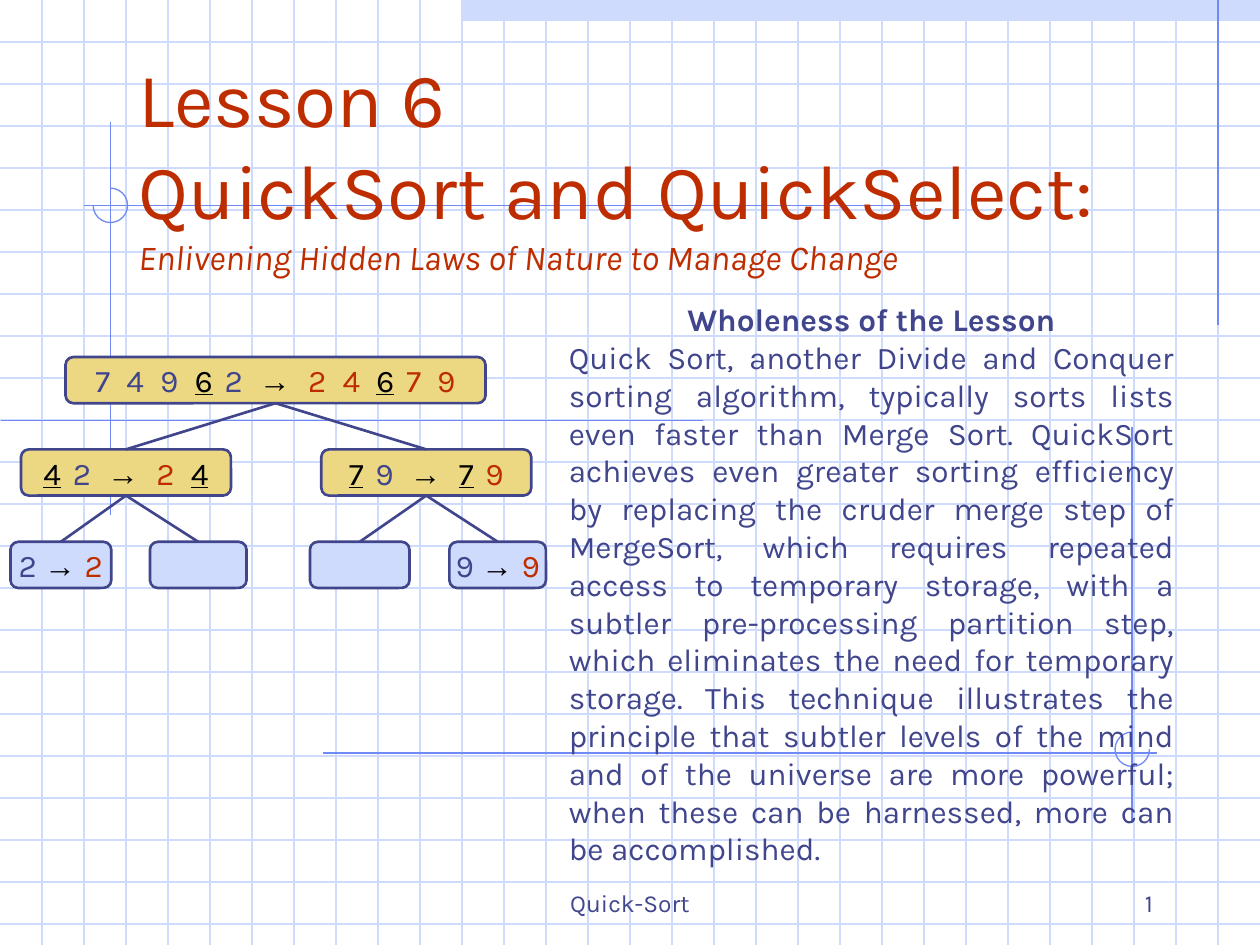
from dataclasses import dataclass
from typing import Optional

from lxml.etree import SubElement
from pptx import Presentation
from pptx.dml.color import RGBColor
from pptx.enum.shapes import MSO_CONNECTOR, MSO_SHAPE
from pptx.enum.text import MSO_ANCHOR, PP_ALIGN
from pptx.oxml.ns import qn
from pptx.util import Inches, Pt

WIDTH, HEIGHT = 10, 7.5
COLS, ROWS = 30, 22.5
CELL = Inches(WIDTH) / COLS

PALE = RGBColor(0xCF, 0xDB, 0xFD)
BLUE = RGBColor(0x6F, 0x89, 0xF7)
NAVY = RGBColor(0x40, 0x45, 0x8C)
RED = RGBColor(0xBE, 0x2D, 0x00)
SAND = RGBColor(0xEC, 0xD8, 0x82)
BLACK = RGBColor(0, 0, 0)


@dataclass(frozen=True)
class Run:
    """A piece of text with one format; spacing is in points."""
    text: str
    color: RGBColor = NAVY
    size: int = 18
    font: str = "Karla"
    bold: bool = False
    italic: bool = False
    underline: bool = False
    spacing: float = 0


@dataclass(frozen=True)
class Box:
    """A rectangle in grid cells."""
    col: float
    row: float
    cols: float
    rows: float

    def emu(self) -> list[int]:
        """Return left, top, width and height as lengths."""
        return [cells(v) for v in (self.col, self.row, self.cols, self.rows)]


@dataclass(frozen=True)
class Node:
    """A tree node: column, width, level, runs and index of its parent."""
    col: float
    cols: float
    level: int
    runs: tuple[Run, ...] = ()
    parent: Optional[int] = None


def cells(n: float) -> int:
    """Turn grid cells into a length."""
    return round(n * CELL)


def before(text: str) -> Run:
    """Numbers before partitioning."""
    return Run(text, NAVY, spacing=2.5)


def after(text: str) -> Run:
    """Numbers after partitioning."""
    return Run(text, RED, spacing=2.5)


def pivot(text: str) -> Run:
    """An underlined pivot."""
    return Run(text, BLACK, underline=True)


def leaf(text: str) -> tuple[Run, ...]:
    """A single number that is already sorted."""
    return Run(text + " "), Run("→ ", BLACK, font="Arial", bold=True), Run(text, RED)


ARROW = Run("→ ", BLACK, font="Arial", bold=True, spacing=2.5)

NODES = (
    Node(1.56, 10, 0, (before("7 4 9 "), pivot("6"), before(" 2 "), ARROW,
                       after("2 4 "), pivot("6"), after(" 7 9"))),
    Node(0.5, 5, 1, (pivot("4"), before(" 2 "), ARROW, after("2 "), pivot("4")), 0),
    Node(7.65, 5, 1, (pivot("7"), before(" 9 "), ARROW, pivot("7"), after(" 9")), 0),
    Node(0.25, 2.4, 2, leaf("2"), 1),
    Node(3.57, 2.3, 2, (), 1),
    Node(7.38, 2.37, 2, (), 2),
    Node(10.7, 2.3, 2, leaf("9"), 2),
)

GUIDES = (
    (29, 0, 29, 7.75), (2.63, 2.9, 2.63, 12.27), (16.75, 10.02, 0.03, 10.02),
    (21.85, 4.9, 2, 4.9), (7.7, 17.93, 27.55, 17.93), (26.95, 10.17, 26.95, 19.6),
)
ARCS = ((Box(2.22, 4.48, 0.82, 0.82), 270, 180), (Box(26.55, 17.43, 0.82, 0.82), 0, 270))

BODY = (
    "Quick Sort, another Divide and Conquer sorting algorithm, typically sorts lists "
    "even faster than Merge Sort. QuickSort achieves even greater sorting efficiency "
    "by replacing the cruder merge step of MergeSort, which requires repeated access "
    "to temporary storage, with a subtler pre-processing partition step, which "
    "eliminates the need for temporary storage. This technique illustrates the "
    "principle that subtler levels of the mind and of the universe are more powerful; "
    "when these can be harnessed, more can be accomplished."
)


def write(sp, *runs: Run, align=PP_ALIGN.LEFT, anchor=MSO_ANCHOR.TOP,
          wrap: bool = True, new: bool = False) -> None:
    """Write one paragraph of runs into a shape."""
    tf = sp.text_frame
    tf.word_wrap, tf.vertical_anchor = wrap, anchor
    p = tf.add_paragraph() if new else tf.paragraphs[0]
    p.alignment = align
    for run in runs:
        for i, line in enumerate(run.text.split("\n")):
            if i:
                p.add_line_break()
            r = p.add_run()
            r.text = line
            f = r.font
            f.name, f.size, f.color.rgb = run.font, Pt(run.size), run.color
            f.bold, f.italic, f.underline = run.bold, run.italic, run.underline
            if run.spacing:
                r._r.get_or_add_rPr().set("spc", str(round(run.spacing * 100)))


def add_line(s, x1: float, y1: float, x2: float, y2: float, color: RGBColor,
             width: float = 0.75):
    """Draw a straight line between two grid points."""
    c = s.shapes.add_connector(MSO_CONNECTOR.STRAIGHT, *map(cells, (x1, y1, x2, y2)))
    c.line.color.rgb, c.line.width = color, Pt(width)
    SubElement(c._element.spPr, qn("a:effectLst"))
    return c


def add_shape(s, kind, box: Box, fill: Optional[RGBColor] = None,
              line: Optional[RGBColor] = None, width: float = 0.75):
    """Draw a flat preset shape."""
    sp = s.shapes.add_shape(kind, *box.emu())
    sp.shadow.inherit = False
    if fill is None:
        sp.fill.background()
    else:
        sp.fill.solid()
        sp.fill.fore_color.rgb = fill
    if line is None:
        sp.line.fill.background()
    else:
        sp.line.color.rgb, sp.line.width = line, Pt(width)
    return sp


def add_background(s) -> None:
    """Draw the top band, the grid paper and the drafting guides."""
    add_shape(s, MSO_SHAPE.RECTANGLE, Box(11, 0, 19, 0.5), PALE)
    for row in range(1, int(ROWS) + 1):
        add_line(s, 0, row, COLS, row, PALE)
    for col in range(1, COLS):
        add_line(s, col, 0, col, ROWS, PALE)
    for guide in GUIDES:
        add_line(s, *guide, BLUE)
    for box, start, end in ARCS:
        sp = add_shape(s, MSO_SHAPE.ARC, box, line=BLUE)
        sp.adjustments[0], sp.adjustments[1] = start * 0.6, end * 0.6


def add_tree(s) -> None:
    """Draw the recursion tree and join each node to its parent."""
    shapes = []
    for node in NODES:
        box = Box(node.col, 8.5 + 2.2 * node.level, node.cols, 1.1)
        sp = add_shape(s, MSO_SHAPE.ROUNDED_RECTANGLE, box,
                       PALE if node.level == 2 else SAND, NAVY, 1.5)
        if node.runs:
            write(sp, *node.runs, align=PP_ALIGN.CENTER, anchor=MSO_ANCHOR.MIDDLE, wrap=False)
        shapes.append(sp)
    for node, sp in zip(NODES, shapes):
        if node.parent is not None:
            c = add_line(s, 0, 0, 1, 1, NAVY, 1.5)
            c.begin_connect(shapes[node.parent], 2)
            c.end_connect(sp, 0)


def main() -> None:
    """Build and save the slide."""
    prs = Presentation()
    prs.slide_width, prs.slide_height = Inches(WIDTH), Inches(HEIGHT)
    s = prs.slides.add_slide(prs.slide_layouts[6])
    add_background(s)
    for box, text, align in ((Box(10.25, 20.5, 9.5, 1.5), "Quick-Sort", PP_ALIGN.CENTER),
                             (Box(21.5, 20.5, 6.25, 1.5), "1", PP_ALIGN.RIGHT)):
        write(s.shapes.add_textbox(*box.emu()), Run(text, size=14),
              align=align, anchor=MSO_ANCHOR.BOTTOM)
    title = s.shapes.add_textbox(*Box(3, 3, 25.5, 3.75).emu())
    write(title, Run("Lesson 6\nQuickSort and QuickSelect: ", RED, 44),
          Run("Enlivening Hidden Laws of Nature to Manage Change", RED, 20, italic=True),
          anchor=MSO_ANCHOR.BOTTOM)
    add_tree(s)
    body = s.shapes.add_textbox(*Box(13.25, 7, 15, 13.8).emu())
    write(body, Run("Wholeness of the Lesson", bold=True), align=PP_ALIGN.CENTER)
    write(body, Run(BODY), align=PP_ALIGN.JUSTIFY, new=True)
    prs.save("out.pptx")


if __name__ == "__main__":
    main()
